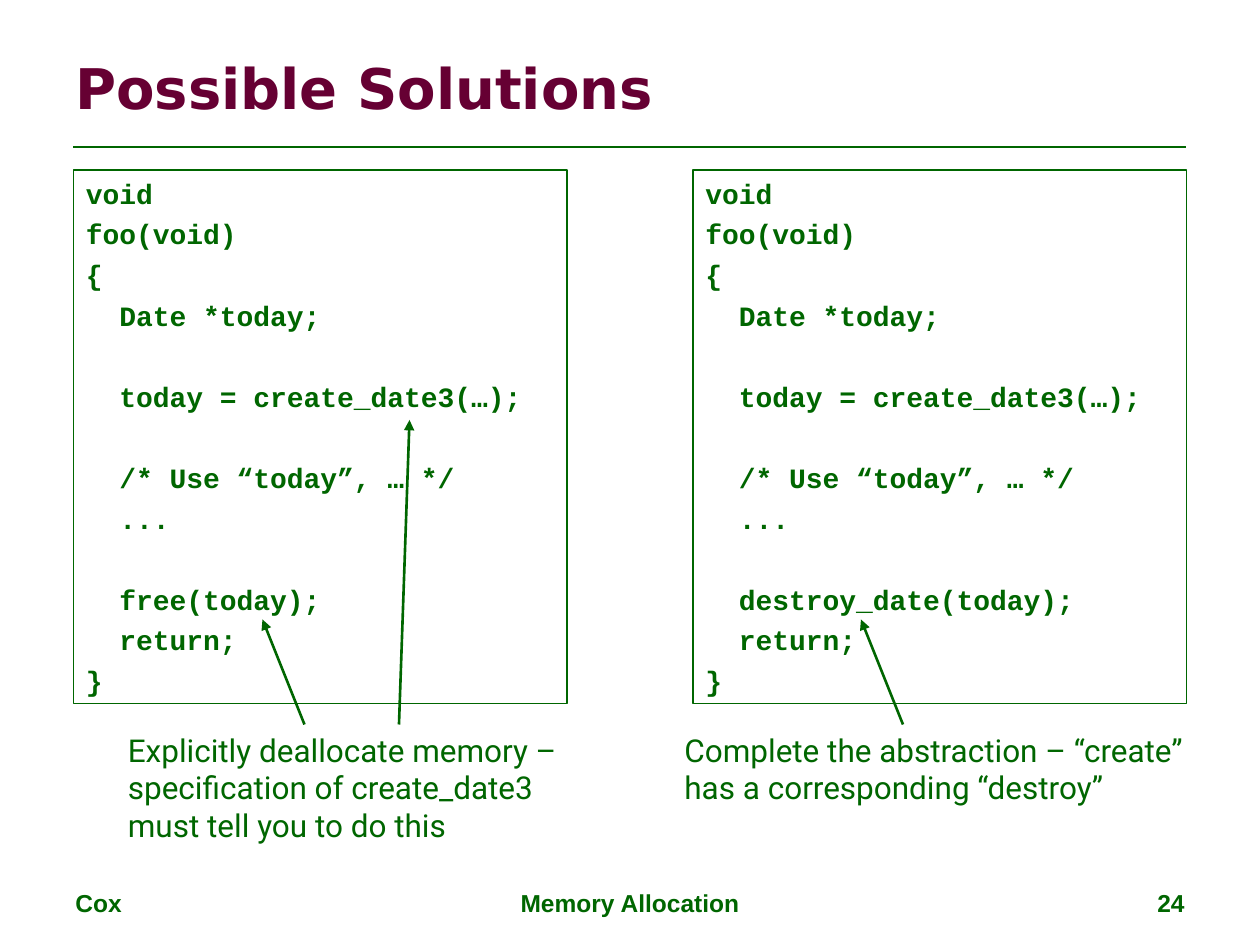
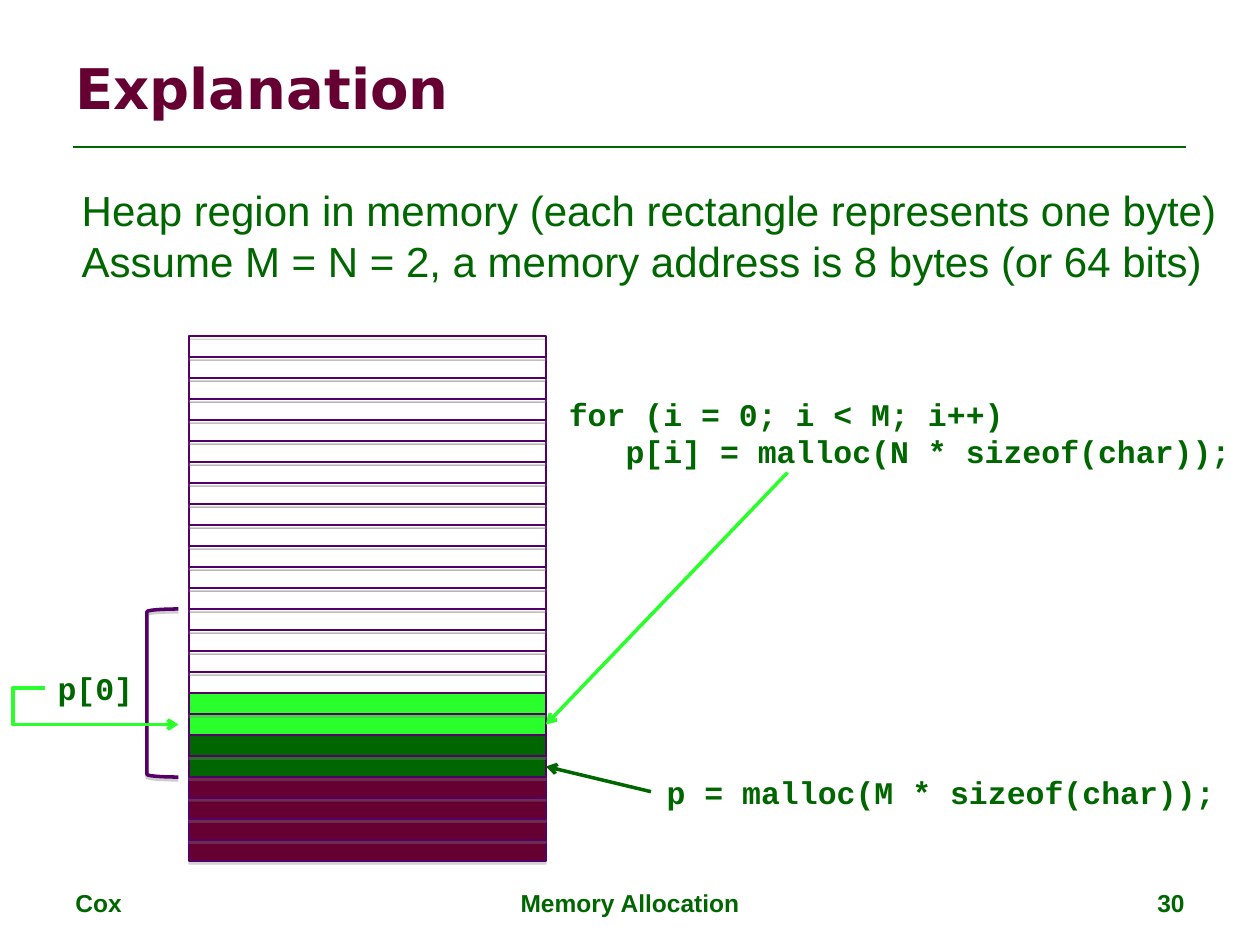
from dataclasses import dataclass
from pptx import Presentation, util as u
from pptx.dml.color import RGBColor
from pptx.enum import shapes, text
from pptx.oxml import parse_xml
from pptx.oxml.ns import nsdecls, qn

GREEN = RGBColor(0x00, 0x66, 0x00)
WINE = RGBColor(0x66, 0x00, 0x33)
LIME = RGBColor(0x2B, 0xFF, 0x2B)
PLUM = RGBColor(0x55, 0x00, 0x66)

WIDTH, HEIGHT = u.Inches(10), u.Inches(7.5)
COLS, ROWS = 120, 90
LEFT, CENTER, RIGHT = text.PP_ALIGN.LEFT, text.PP_ALIGN.CENTER, text.PP_ALIGN.RIGHT
TOP, MIDDLE = text.MSO_ANCHOR.TOP, text.MSO_ANCHOR.MIDDLE
RECT, BRACKET = shapes.MSO_SHAPE.RECTANGLE, shapes.MSO_SHAPE.LEFT_BRACKET
STRAIGHT, ELBOW = shapes.MSO_CONNECTOR.STRAIGHT, shapes.MSO_CONNECTOR.ELBOW
RIGHT_SIDE = 3
LINE_GAP, BLANK_GAP = 4, 23.2


def font(name: str, size: int, bold: bool = False) -> dict:
    return {"name": name, "size": u.Pt(size), "bold": bold}


TITLE = font("DejaVu Sans", 32, True)
FOOT = font("Arial", 14, True)
BODY = font("Arial", 24)
NOTE = font("Roboto", 18)
CODE = font("Courier New", 16, True)
CALL = font("Courier New", 18, True)


@dataclass(frozen=True)
class Box:
    col: float
    row: float
    cols: float
    rows: float

    def place(self) -> tuple:
        return col(self.col), row(self.row), col(self.cols), row(self.rows)


@dataclass(frozen=True)
class Label:
    box: Box
    words: str
    style: dict
    align: int = LEFT
    anchor: int = TOP
    color: RGBColor = GREEN
    gap: float = 0


@dataclass(frozen=True)
class Link:
    start: tuple
    end: tuple
    color: RGBColor = GREEN
    width: float = 1.5
    head: str = ""
    kind: int = STRAIGHT


@dataclass(frozen=True)
class Band:
    first: int
    count: int
    fill: RGBColor = None


def col(n: float) -> int:
    return round(WIDTH * n / COLS)


def row(n: float) -> int:
    return round(HEIGHT * n / ROWS)


def write(shape, label: Label) -> None:
    frame = shape.text_frame
    frame.word_wrap = True
    frame.vertical_anchor = label.anchor
    para, blank = None, 0
    for line in label.words.split("\n"):
        if not line:
            blank += BLANK_GAP
            continue
        if para is None:
            para = frame.paragraphs[0]
        else:
            para = frame.add_paragraph()
            para.space_before = u.Pt(label.gap + blank)
        blank = 0
        para.alignment = label.align
        run = para.add_run()
        run.text = line
        for key, val in label.style.items():
            setattr(run.font, key, val)
        run.font.color.rgb = label.color


def add_label(slide, label: Label):
    shape = slide.shapes.add_textbox(*label.box.place())
    write(shape, label)
    return shape


def add_form(slide, kind: int, box: Box, edge: RGBColor, width: float, fill: RGBColor = None):
    shape = slide.shapes.add_shape(kind, *box.place())
    shape.shadow.inherit = False
    if fill is None:
        shape.fill.background()
    else:
        shape.fill.solid()
        shape.fill.fore_color.rgb = fill
    shape.line.color.rgb = edge
    shape.line.width = u.Pt(width)
    return shape


def add_shade(shape, drop: float, alpha: int) -> None:
    shape.element.spPr.find(qn("a:effectLst")).append(parse_xml(
        f'<a:outerShdw {nsdecls("a")} blurRad="0" dist="{u.Pt(drop)}" dir="5400000" rotWithShape="0">'
        f'<a:srgbClr val="808080"><a:alpha val="{alpha * 1000}"/></a:srgbClr></a:outerShdw>'))


def add_link(slide, link: Link):
    (x1, y1), (x2, y2) = link.start, link.end
    line = slide.shapes.add_connector(link.kind, col(x1), row(y1), col(x2), row(y2))
    line.line.color.rgb = link.color
    line.line.width = u.Pt(link.width)
    props = line.element.spPr
    if link.head:
        props.find(qn("a:ln")).append(parse_xml(f'<a:tailEnd {nsdecls("a")} type="{link.head}"/>'))
    props.append(parse_xml(f'<a:effectLst {nsdecls("a")}/>'))
    return line


def bend(line, share: float) -> None:
    geom = line.element.spPr.find(qn("a:prstGeom"))
    for old in list(geom):
        geom.remove(old)
    geom.append(parse_xml(
        f'<a:avLst {nsdecls("a")}><a:gd name="adj1" fmla="val {round(share * 100000)}"/></a:avLst>'))


def add_page(deck, title: str, number: int):
    slide = deck.slides.add_slide(deck.slide_layouts[6])
    add_link(slide, Link((7, 14), (113, 14)))
    for label in (
        Label(Box(6, 3.6, 108, 9.36), title, TITLE, anchor=MIDDLE, color=WINE),
        Label(Box(6, 84, 28, 4.2), "Cox", FOOT),
        Label(Box(41, 84, 38, 4.2), "Memory Allocation", FOOT, CENTER),
        Label(Box(86, 84, 28, 4.2), str(number), FOOT, RIGHT),
    ):
        add_label(slide, label)
    return slide


SOURCE = """void
foo(void)
{{
  Date *today;

  today = create_date3(…);

  /* Use “today”, … */
  ...

  {}(today);
  return;
}}"""


def add_fixes(deck) -> None:
    slide = add_page(deck, "Possible Solutions", 24)
    for left, call in ((7, "free"), (66, "destroy_date")):
        box = Box(left, 16.2, 47, 50.8)
        panel = add_form(slide, RECT, box, GREEN, 0.75)
        write(panel, Label(box, SOURCE.format(call), CODE, gap=LINE_GAP))
    for start, end in (((29, 69), (25, 59)), ((38, 69), (39, 40)), ((86, 69), (82, 59))):
        add_link(slide, Link(start, end, head="triangle"))
    add_label(slide, Label(
        Box(11, 69, 44, 15.6),
        "Explicitly deallocate memory – specification of create_date3 must tell you to do this", NOTE))
    add_label(slide, Label(
        Box(64, 69, 50, 12),
        "Complete the abstraction – “create” has a corresponding “destroy”", NOTE))


BANDS = (Band(21, 4, WINE), Band(0, 17), Band(17, 2, LIME), Band(19, 2, GREEN))


def add_heap(deck) -> None:
    slide = add_page(deck, "Explanation", 30)
    cells = {}
    for band in BANDS:
        for n in reversed(range(band.first, band.first + band.count)):
            cells[n] = add_form(slide, RECT, Box(18, 32 + 2 * n, 34, 2), PLUM, 0.75, band.fill)
            add_shade(cells[n], 1.8, 35)
    brace = add_form(slide, BRACKET, Box(14, 58, 3, 16), PLUM, 2)
    add_shade(brace, 1.6, 38)
    for label in (
        Label(Box(6.6, 17, 112, 10.8),
              "Heap region in memory (each rectangle represents one byte)\n"
              "Assume M = N = 2, a memory address is 8 bytes (or 64 bits)", BODY),
        Label(Box(53, 37, 66, 8.4),
              "for (i = 0; i < M; i++)\n   p[i] = malloc(N * sizeof(char));", CALL),
        Label(Box(62.3, 73, 54.6, 4.8), "p = malloc(M * sizeof(char));", CALL),
        Label(Box(4.3, 63.1, 10, 4.8), "p[0]", CALL),
    ):
        add_label(slide, label)
    for link, cell in (
        (Link((75, 45), (52, 69), LIME, 2, "arrow"), cells[18]),
        (Link((62, 75.4), (52, 73), GREEN, 2, "arrow"), cells[20]),
    ):
        add_link(slide, link).end_connect(cell, RIGHT_SIDE)
    hook = add_link(slide, Link((4.3, 65.5), (17, 69), LIME, 2, "arrow", ELBOW))
    bend(hook, -0.24)


def main() -> None:
    deck = Presentation()
    deck.slide_width, deck.slide_height = WIDTH, HEIGHT
    add_fixes(deck)
    add_heap(deck)
    deck.save("out.pptx")


if __name__ == "__main__":
    main()
